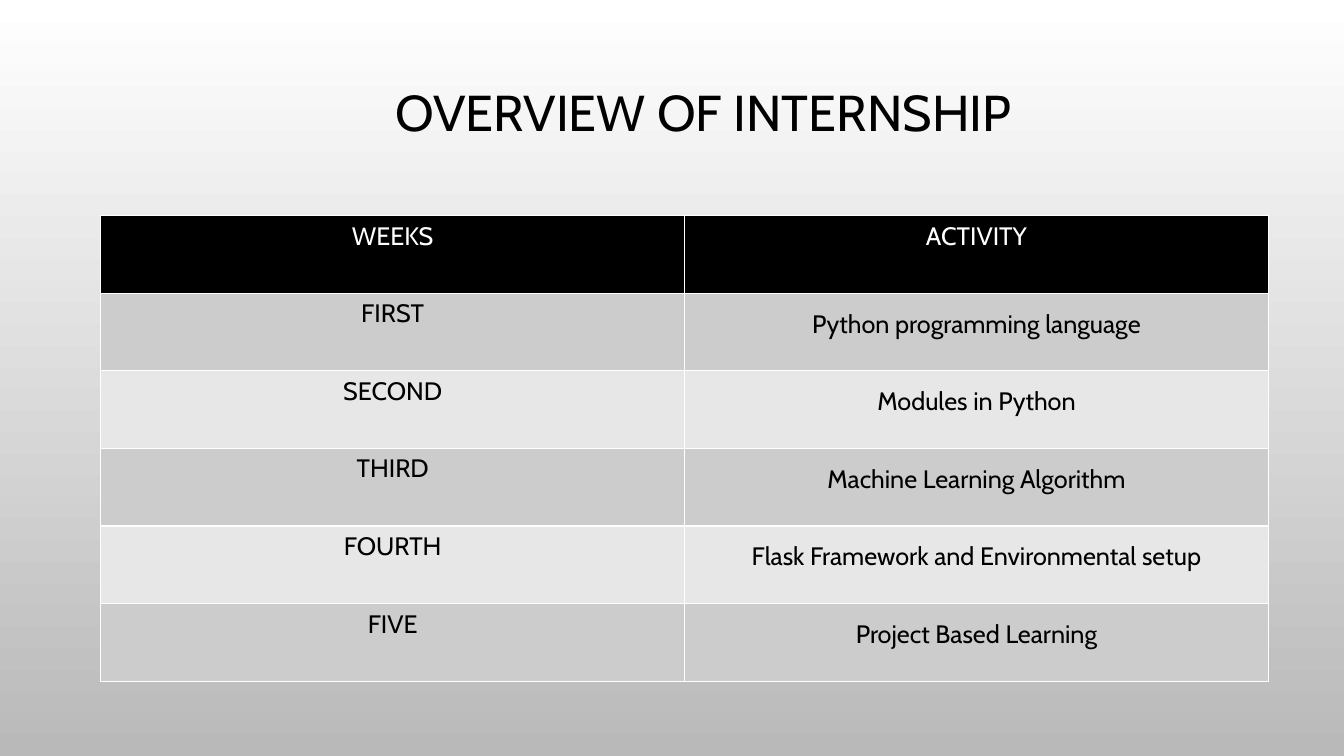
"""Build the internship overview slide with its table of weekly activities."""
from lxml import etree
from pptx import Presentation
from pptx.dml.color import RGBColor
from pptx.enum.text import MSO_ANCHOR, PP_ALIGN
from pptx.oxml.ns import qn
from pptx.util import Inches, Pt

CENTER = PP_ALIGN.CENTER
TOP, MIDDLE = MSO_ANCHOR.TOP, MSO_ANCHOR.MIDDLE
FONT = "Cabin"
BLACK, WHITE = "000000", "FFFFFF"
BANDS = ["E7E7E7", "CCCCCC"]
COLUMN_WIDTH, ROW_HEIGHT = Inches(5.79), Inches(0.77)
ROWS = [
    ("WEEKS", "ACTIVITY"),
    ("FIRST", "Python programming language"),
    ("SECOND", "Modules in Python"),
    ("THIRD", "Machine Learning Algorithm"),
    ("FOURTH", "Flask Framework and Environmental setup"),
    ("FIVE", "Project Based Learning"),
]


def color(value):
    return RGBColor.from_string(value)


def format_paragraph(paragraph, size, text_color):
    paragraph.alignment = CENTER
    paragraph.font.name = FONT
    paragraph.font.size = Pt(size)
    paragraph.font.bold = False
    paragraph.font.color.rgb = color(text_color)


presentation = Presentation()
presentation.slide_width = Inches(13.33)
presentation.slide_height = Inches(7.5)
slide = presentation.slides.add_slide(presentation.slide_layouts.get_by_name("Title Only"))

background = slide.background.fill
background.gradient()
background.gradient_angle = 270
for stop, position, stop_color in zip(background.gradient_stops, (0, 1), (WHITE, "B9B9B9")):
    stop.position = position
    stop.color.rgb = color(stop_color)

title = slide.shapes.title
title.left, title.top = Inches(2.77), Inches(0.75)
title.width, title.height = Inches(8.41), Inches(0.71)
title.text_frame.text = "OVERVIEW OF INTERNSHIP"
title.text_frame.vertical_anchor = MIDDLE
format_paragraph(title.text_frame.paragraphs[0], 36, BLACK)

table = slide.shapes.add_table(
    len(ROWS), 2, Inches(1), Inches(2.14), 2 * COLUMN_WIDTH, len(ROWS) * ROW_HEIGHT
).table
for column in table.columns:
    column.width = COLUMN_WIDTH
for row_index, texts in enumerate(ROWS):
    table.rows[row_index].height = ROW_HEIGHT
    is_header = row_index == 0
    for column_index, text in enumerate(texts):
        cell = table.cell(row_index, column_index)
        cell.text = text
        cell.vertical_anchor = TOP
        paragraph = cell.text_frame.paragraphs[0]
        format_paragraph(paragraph, 18, WHITE if is_header else BLACK)
        if column_index == 1 and not is_header:
            paragraph.line_spacing = 1.5
            cell.margin_left = cell.margin_right = Inches(0.07)
            cell.margin_top = cell.margin_bottom = 0
        properties = cell._tc.get_or_add_tcPr()
        for side in ("a:lnL", "a:lnR", "a:lnT", "a:lnB"):
            border = etree.SubElement(properties, qn(side), w=str(Pt(1)))
            border_fill = etree.SubElement(border, qn("a:solidFill"))
            etree.SubElement(border_fill, qn("a:srgbClr"), val=WHITE)
        cell.fill.solid()
        cell.fill.fore_color.rgb = color(BLACK if is_header else BANDS[row_index % 2])

presentation.save("out.pptx")
